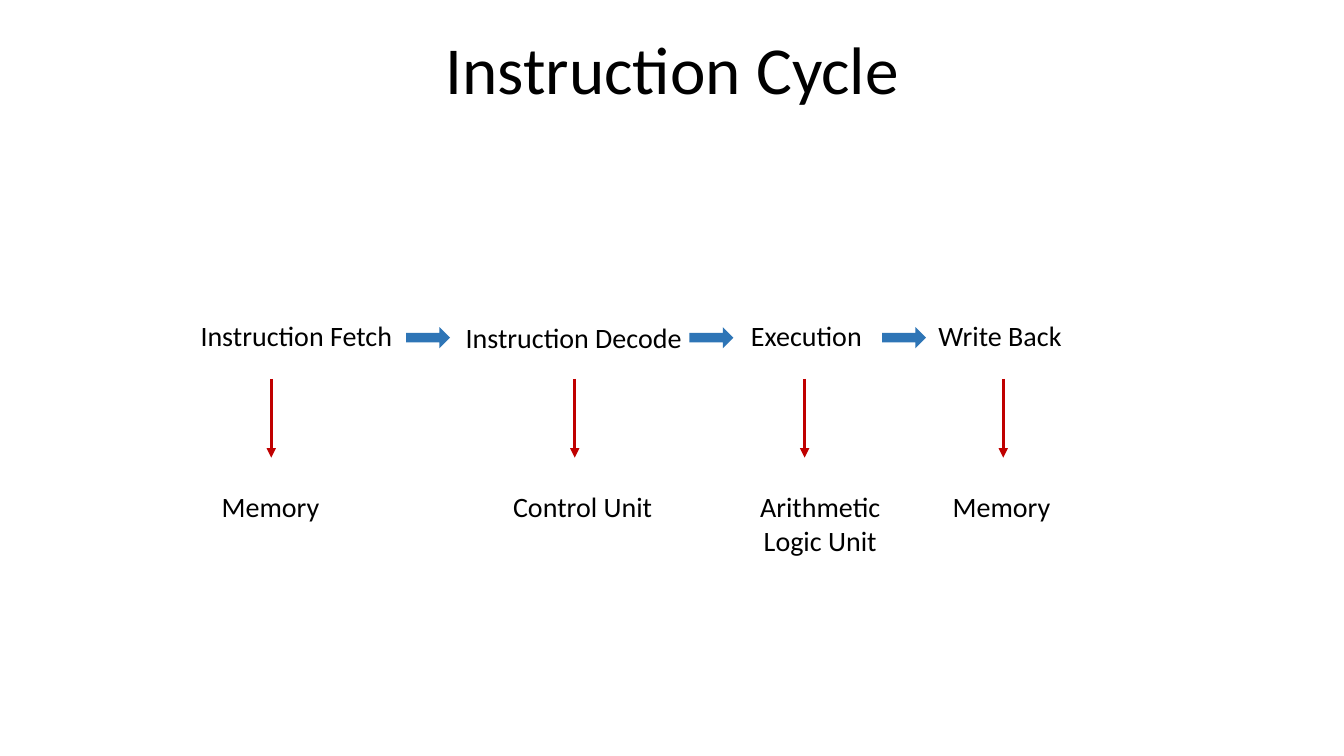
from lxml import etree
from pptx import Presentation
from pptx import util as u
from pptx.dml.color import RGBColor
from pptx.enum import shapes, text
from pptx.oxml import ns

PX = 9144  # EMU per px, 100 px to the inch
BLACK = RGBColor(0x00, 0x00, 0x00)
BLUE = RGBColor(0x2E, 0x75, 0xB6)
RED = RGBColor(0xC0, 0x00, 0x00)
FONT = "Calibri"
CENTER = text.PP_ALIGN.CENTER

FLOW_BOX = (189, 311, 1144, 247)
# Stage, its box (x, y, w, h), x of its down arrow, unit, unit box (x, w, h), unit alignment
STAGES = [
    ("Instruction Fetch", (0, 0, 895, 104), 80, "Memory", (21, 119, 44), None),
    ("Instruction Decode", (263, 2, 667, 44), 381, "Control Unit", (310, 188, 44), None),
    ("Execution", (546, 0, 598, 44), 609, "Arithmetic Logic Unit", (550, 149, 77), CENTER),
    ("Write Back", (732, 0, 166, 44), 806, "Memory", (746, 149, 44), None),
]
NEXT_ARROW_LEFTS = (217, 498, 689)
NEXT_ARROW_TOP, NEXT_ARROW_SIZE = 21, (36, 6)
DOWN_TOP, DOWN_BOTTOM = 65, 143
UNIT_TOP = 170


def px(*lengths):
    return [u.Emu(length * PX) for length in lengths]


def style_paragraph(paragraph, size, align=None):
    paragraph.alignment = align
    for run in paragraph.runs:
        run.font.name = FONT
        run.font.size = u.Pt(size)
        run.font.color.rgb = BLACK


def add_title(slide, box):
    title = slide.shapes.title
    title.left, title.top, title.width, title.height = px(*box)
    frame = title.text_frame
    frame.text = "Instruction Cycle"
    frame.vertical_anchor = text.MSO_ANCHOR.MIDDLE
    frame.paragraphs[0].line_spacing = 0.9
    style_paragraph(frame.paragraphs[0], 48, CENTER)


def add_label(slide, box, words, align=None):
    frame = slide.shapes.add_textbox(*px(*box)).text_frame
    frame.word_wrap = True
    frame.text = words
    style_paragraph(frame.paragraphs[0], 20, align)


def add_next_arrow(slide, left, top):
    arrow = slide.shapes.add_shape(
        shapes.MSO_SHAPE.RIGHT_ARROW, *px(left, top, *NEXT_ARROW_SIZE))
    arrow.shadow.inherit = False
    arrow.fill.solid()
    arrow.fill.fore_color.rgb = BLUE
    arrow.line.color.rgb = BLUE
    arrow.line.width = u.Pt(4.5)
    outline = arrow.line._get_or_add_ln()
    etree.SubElement(outline, ns.qn("a:miter"), lim="800000")


def add_down_arrow(slide, x, top, bottom):
    arrow = slide.shapes.add_connector(
        shapes.MSO_CONNECTOR.STRAIGHT, *px(x, top, x, bottom))
    arrow.line.color.rgb = RED
    arrow.line.width = u.Pt(2.25)
    outline = arrow.line._get_or_add_ln()
    etree.SubElement(outline, ns.qn("a:tailEnd"), type="triangle")
    etree.SubElement(outline.getparent(), ns.qn("a:effectLst"))


def add_flow(slide, box):
    """Place the stages in a row, each pointing down to the unit that does it."""
    left, top, _, _ = box
    for stage, (x, y, w, h), down_x, unit, (unit_x, unit_w, unit_h), align in STAGES:
        add_label(slide, (left + x, top + y, w, h), stage)
        add_down_arrow(slide, left + down_x, top + DOWN_TOP, top + DOWN_BOTTOM)
        add_label(slide, (left + unit_x, top + UNIT_TOP, unit_w, unit_h), unit, align)
    for x in NEXT_ARROW_LEFTS:
        add_next_arrow(slide, left + x, top + NEXT_ARROW_TOP)


def main():
    deck = Presentation()
    deck.slide_width, deck.slide_height = px(1333, 750)
    slide = deck.slides.add_slide(deck.slide_layouts.get_by_name("Title Only"))
    add_title(slide, (92, 0, 1150, 145))
    add_flow(slide, FLOW_BOX)
    deck.save("out.pptx")


if __name__ == "__main__":
    main()
